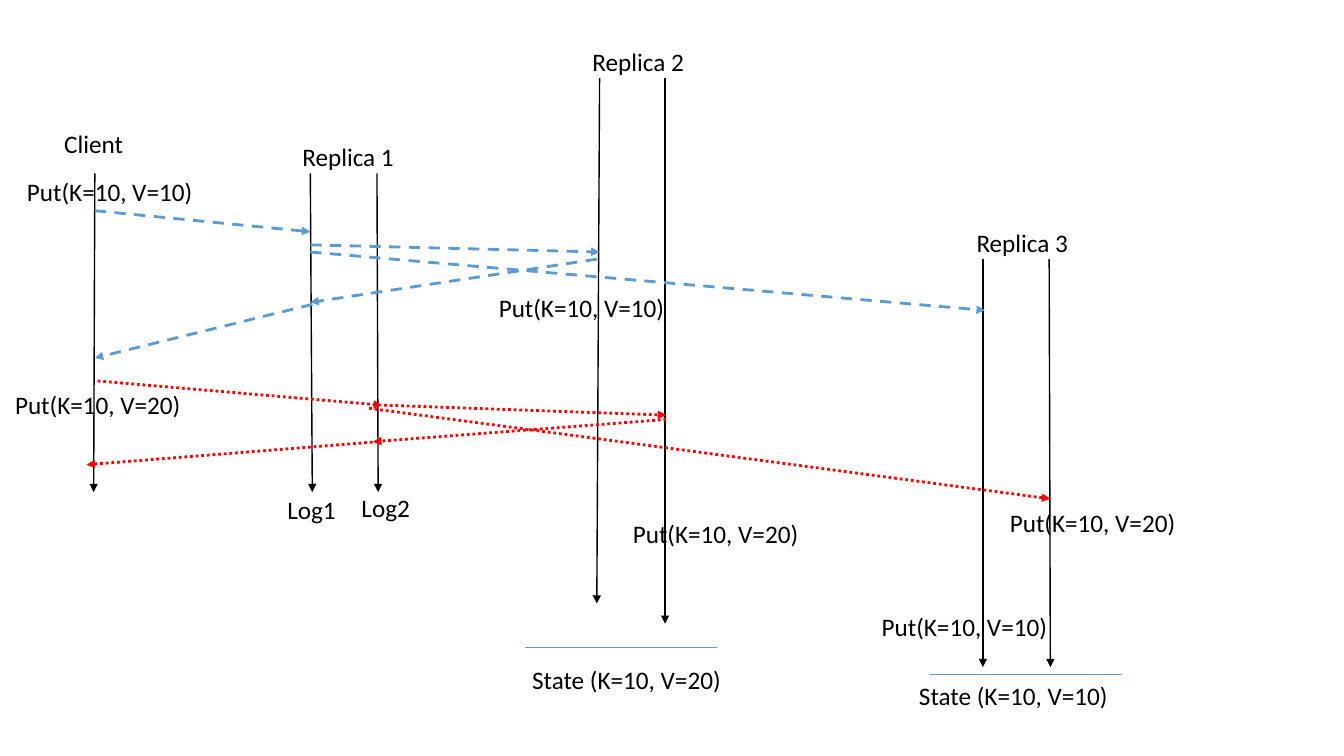
from lxml import etree
from pptx import Presentation
from pptx import util as u
from pptx.dml.color import RGBColor
from pptx.enum import dml, shapes, text
from pptx.oxml import ns

BLACK = RGBColor(0x00, 0x00, 0x00)
BLUE = RGBColor(0x5B, 0x9B, 0xD5)
RED = RGBColor(0xFF, 0x00, 0x00)

LIFELINES = [
    (7.82, 4.37, 7.87, 12.4),
    (9.5, 4.37, 9.53, 12.4),
    (15.11, 1.96, 15.04, 15.21),
    (16.76, 1.96, 16.76, 15.72),
    (24.77, 6.53, 24.77, 16.81),
    (26.44, 6.53, 26.47, 16.81),
    (2.39, 4.37, 2.36, 12.4),
]
FIRST_PUT = [
    (2.39, 5.31, 7.82, 5.84),
    (7.82, 6.17, 15.11, 6.35),
    (7.82, 6.35, 24.82, 7.82),
    (15.04, 6.53, 7.82, 7.62),
    (7.87, 7.67, 2.39, 9.02),
]
SECOND_PUT = [
    (2.46, 9.6, 9.63, 10.21),
    (9.68, 10.21, 16.79, 10.46),
    (9.3, 10.29, 26.47, 12.57),
    (16.79, 10.57, 9.4, 11.13),
    (9.53, 11.13, 2.18, 11.71),
]
STATE_RULES = [
    (13.23, 16.31, 18.06, 16.31),
    (23.44, 16.99, 28.27, 16.99),
]
LABELS = {
    "Client": (2.01, [(1.37, 3.12)]),
    "Replica 1": (2.84, [(7.37, 3.43)]),
    "Replica 2": (2.84, [(14.68, 1.04)]),
    "Replica 3": (2.84, [(24.36, 5.61)]),
    "Put(K=10, V=10)": (4.72, [(0.43, 4.32), (12.32, 7.24), (21.97, 15.29)]),
    "Put(K=10, V=20)": (4.72, [(0.13, 9.68), (15.7, 12.93), (25.2, 12.65)]),
    "Log1": (1.75, [(6.99, 12.32)]),
    "Log2": (1.75, [(8.86, 12.27)]),
    "State (K=10, V=20)": (5.33, [(13.16, 16.61)]),
    "State (K=10, V=10)": (5.33, [(22.91, 17.02)]),
}


class SequenceDiagram:
    """Draws labels, rules and arrows in one style on the current slide."""

    font_name = "Calibri"
    font_size = u.Pt(18)
    label_height = u.Cm(1.02)

    def __init__(self, slide):
        self.slide = slide

    def rule(self, ends, color, width, dash=None):
        rule = self.slide.shapes.add_connector(
            shapes.MSO_CONNECTOR.STRAIGHT, *map(u.Cm, ends))
        rule.line.color.rgb = color
        rule.line.width = u.Pt(width)
        if dash is not None:
            rule.line.dash_style = dash
        etree.SubElement(rule._element.spPr, ns.qn("a:effectLst"))
        return rule

    def arrow(self, ends, color, width, dash=None):
        arrow = self.rule(ends, color, width, dash)
        outline = arrow._element.spPr.find(ns.qn("a:ln"))
        etree.SubElement(outline, ns.qn("a:tailEnd"), type="triangle")

    def label(self, wording, left, top, width):
        label = self.slide.shapes.add_textbox(
            u.Cm(left), u.Cm(top), u.Cm(width), self.label_height)
        frame = label.text_frame
        frame.text = wording
        frame.word_wrap = False
        frame.auto_size = text.MSO_AUTO_SIZE.SHAPE_TO_FIT_TEXT
        font = frame.paragraphs[0].runs[0].font
        font.name = self.font_name
        font.size = self.font_size
        font.color.rgb = BLACK


def main():
    deck = Presentation()
    deck.slide_width, deck.slide_height = u.Cm(33.87), u.Cm(19.05)
    diagram = SequenceDiagram(deck.slides.add_slide(deck.slide_layouts[6]))

    for ends in LIFELINES:
        diagram.arrow(ends, BLACK, 1)
    for ends in FIRST_PUT:
        diagram.arrow(ends, BLUE, 2, dml.MSO_LINE.DASH)
    for ends in SECOND_PUT:
        diagram.arrow(ends, RED, 2, dml.MSO_LINE.ROUND_DOT)
    for ends in STATE_RULES:
        diagram.rule(ends, BLUE, 0.5)
    for wording, (width, places) in LABELS.items():
        for left, top in places:
            diagram.label(wording, left, top, width)

    deck.save("out.pptx")


if __name__ == "__main__":
    main()
